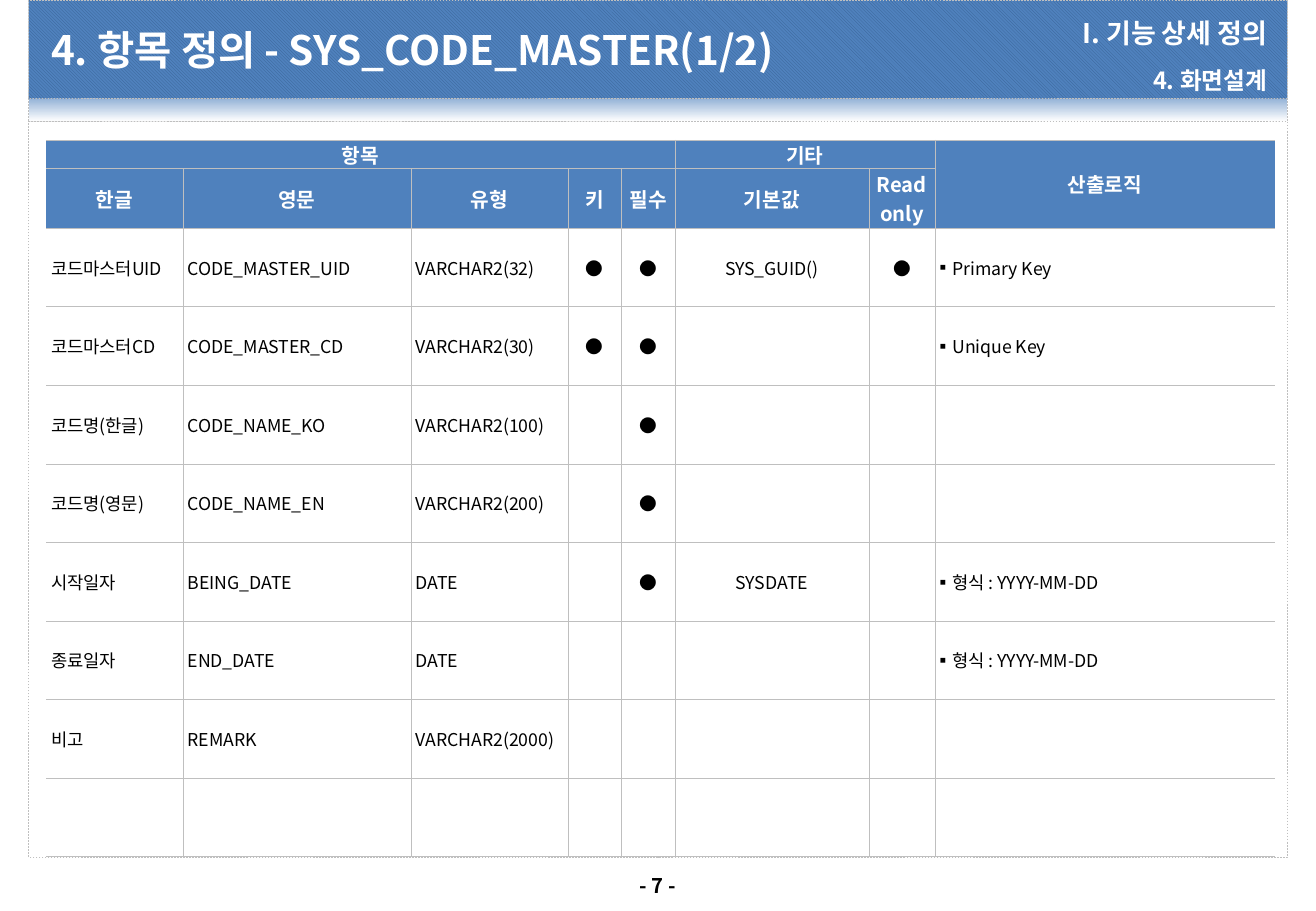
from lxml.etree import SubElement
from pptx import Presentation
from pptx.dml.color import RGBColor
from pptx.enum.dml import MSO_LINE, MSO_PATTERN
from pptx.enum.shapes import MSO_SHAPE
from pptx.enum.text import MSO_ANCHOR, PP_ALIGN
from pptx.oxml.ns import qn
from pptx.util import Pt

FONT = "Noto Sans CJK KR"
WHITE = RGBColor(0xFF, 0xFF, 0xFF)
BLACK = RGBColor(0, 0, 0)
BLUE = RGBColor(0x4F, 0x81, 0xBD)
DARK_BLUE = RGBColor(0x37, 0x60, 0x92)
PALE_BLUE = RGBColor(0x95, 0xB3, 0xD7)
GRAY = RGBColor(0xBF, 0xBF, 0xBF)

TITLE = "4. 항목 정의 - SYS_CODE_MASTER(1/2)"
CHAPTER = "I. 기능 상세 정의"
SECTION = "4. 화면설계"
PAGE = "- 7 -"

HEADER = [
    ["항목", "", "", "", "", "기타", "", "산출로직"],
    ["한글", "영문", "유형", "키", "필수", "기본값", "Read only", ""],
]
MERGES = [((0, 0), (0, 4)), ((0, 5), (0, 6)), ((0, 7), (1, 7))]
ITEMS = [
    ["코드마스터UID", "CODE_MASTER_UID", "VARCHAR2(32)", "●", "●", "SYS_GUID()", "●", "Primary Key"],
    ["코드마스터CD", "CODE_MASTER_CD", "VARCHAR2(30)", "●", "●", "", "", "Unique Key"],
    ["코드명(한글)", "CODE_NAME_KO", "VARCHAR2(100)", "", "●", "", "", ""],
    ["코드명(영문)", "CODE_NAME_EN", "VARCHAR2(200)", "", "●", "", "", ""],
    ["시작일자", "BEING_DATE", "DATE", "", "●", "SYSDATE", "", "형식 : YYYY-MM-DD"],
    ["종료일자", "END_DATE", "DATE", "", "", "", "", "형식 : YYYY-MM-DD"],
    ["비고", "REMARK", "VARCHAR2(2000)", "", "", "", "", ""],
    [""] * 8,
]
COL_WIDTHS = [81, 135.2, 93, 31.8, 31.6, 115.2, 39, 201.4]
ROW_HEIGHTS = [17, 35.2] + [46.6] * len(ITEMS)
CENTERED_COLS = range(3, 7)
LOGIC_COL = 7

FRAME_LEFT, FRAME_WIDTH = 17, 746
BAND_HEIGHT, BODY_TOP, BODY_BOTTOM = 58.5, 72, 508.3
TABLE_LEFT, TABLE_TOP = 27.4, 83


def format_paragraph(p, size, color, bold, align=PP_ALIGN.LEFT):
    p.alignment = align
    for r in p.runs:
        r.font.size, r.font.bold, r.font.name = Pt(size), bold, FONT
        r.font.color.rgb = color
        SubElement(r.font._element, qn("a:ea")).set("typeface", FONT)


def add_panel(slide, top, height):
    """Full-width rectangle with the dashed gray outline."""
    sp = slide.shapes.add_shape(MSO_SHAPE.RECTANGLE, Pt(FRAME_LEFT), Pt(top),
                                Pt(FRAME_WIDTH), Pt(height))
    sp.shadow.inherit = False
    sp.line.color.rgb, sp.line.width = GRAY, Pt(0.25)
    sp.line.dash_style = MSO_LINE.DASH
    return sp


def add_label(slide, text, box, size, align, color=WHITE, margin=2.9, wrap=True):
    tf = slide.shapes.add_textbox(*map(Pt, box)).text_frame
    tf.word_wrap, tf.vertical_anchor = wrap, MSO_ANCHOR.MIDDLE
    tf.margin_left = tf.margin_right = tf.margin_top = tf.margin_bottom = Pt(margin)
    tf.text = text
    p = tf.paragraphs[0]
    format_paragraph(p, size, color, True, align)
    return p


def add_bullet(p):
    p_pr = p._p.get_or_add_pPr()
    p_pr.set("marL", str(Pt(7.2)))
    p_pr.set("indent", str(-Pt(7.2)))
    SubElement(p_pr, qn("a:buFont")).set("typeface", FONT)
    SubElement(p_pr, qn("a:buChar")).set("char", "▪")


def set_borders(cell, hidden_side):
    """Gray hairlines on every side but hidden_side; they precede the fill in tcPr."""
    tc_pr = cell._tc.get_or_add_tcPr()
    for i, side in enumerate(("lnL", "lnR", "lnT", "lnB")):
        ln = SubElement(tc_pr, qn("a:" + side), w=str(Pt(0.25)))
        if side == hidden_side:
            SubElement(ln, qn("a:noFill"))
        else:
            fill = SubElement(ln, qn("a:solidFill"))
            SubElement(fill, qn("a:srgbClr"), val=str(GRAY))
        tc_pr.insert(i, ln)


def add_item_table(slide):
    rows = HEADER + ITEMS
    table = slide.shapes.add_table(
        len(rows), len(COL_WIDTHS), Pt(TABLE_LEFT), Pt(TABLE_TOP),
        Pt(sum(COL_WIDTHS)), Pt(sum(ROW_HEIGHTS))).table
    table.horz_banding = False
    for column, width in zip(table.columns, COL_WIDTHS):
        column.width = Pt(width)
    for row, height in zip(table.rows, ROW_HEIGHTS):
        row.height = Pt(height)

    for i, row in enumerate(rows):
        is_header = i < len(HEADER)
        for j, text in enumerate(row):
            cell = table.cell(i, j)
            cell.margin_left = cell.margin_right = Pt(2.9)
            cell.margin_top = cell.margin_bottom = 0
            cell.vertical_anchor = MSO_ANCHOR.MIDDLE
            cell.fill.solid()
            cell.fill.fore_color.rgb = BLUE if is_header else WHITE
            set_borders(cell, {0: "lnL", LOGIC_COL: "lnR"}.get(j))
            if not text:
                continue
            cell.text_frame.text = text
            p = cell.text_frame.paragraphs[0]
            if is_header:
                format_paragraph(p, 12, WHITE, True, PP_ALIGN.CENTER)
            else:
                align = PP_ALIGN.CENTER if j in CENTERED_COLS else PP_ALIGN.LEFT
                format_paragraph(p, 10.5, BLACK, False, align)
                if j == LOGIC_COL:
                    cell.margin_left = 0
                    add_bullet(p)
    for first, last in MERGES:
        table.cell(*first).merge(table.cell(*last))


def main():
    prs = Presentation()
    prs.slide_width, prs.slide_height = Pt(780), Pt(540)
    slide = prs.slides.add_slide(prs.slide_layouts[6])

    fade = add_panel(slide, BAND_HEIGHT, BODY_TOP - BAND_HEIGHT).fill
    fade.gradient()
    fade.gradient_angle = 270
    for stop, color, position in zip(fade.gradient_stops, (PALE_BLUE, WHITE), (0, 1)):
        stop.color.rgb, stop.position = color, position

    body = add_panel(slide, BODY_TOP, BODY_BOTTOM - BODY_TOP).fill
    body.solid()
    body.fore_color.rgb = WHITE

    band = add_panel(slide, 0, BAND_HEIGHT).fill
    band.patterned()
    band.pattern = MSO_PATTERN.LIGHT_DOWNWARD_DIAGONAL
    band.fore_color.rgb, band.back_color.rgb = DARK_BLUE, BLUE

    add_label(slide, PAGE, (365.3, 514, 49, 21.6), 12, PP_ALIGN.CENTER,
              BLACK, margin=3.6, wrap=False)
    add_label(slide, CHAPTER, (509, 6, 245, 26.6), 16, PP_ALIGN.RIGHT)
    add_label(slide, TITLE, (27.4, 5.6, 481.7, 47.5), 24, PP_ALIGN.LEFT)
    section = add_label(slide, SECTION, (509, 33.8, 245, 19.4), 14, PP_ALIGN.RIGHT)
    section.line_spacing = 1.5
    section.space_before = section.space_after = Pt(2.8)

    add_item_table(slide)
    prs.save("out.pptx")


if __name__ == "__main__":
    main()
